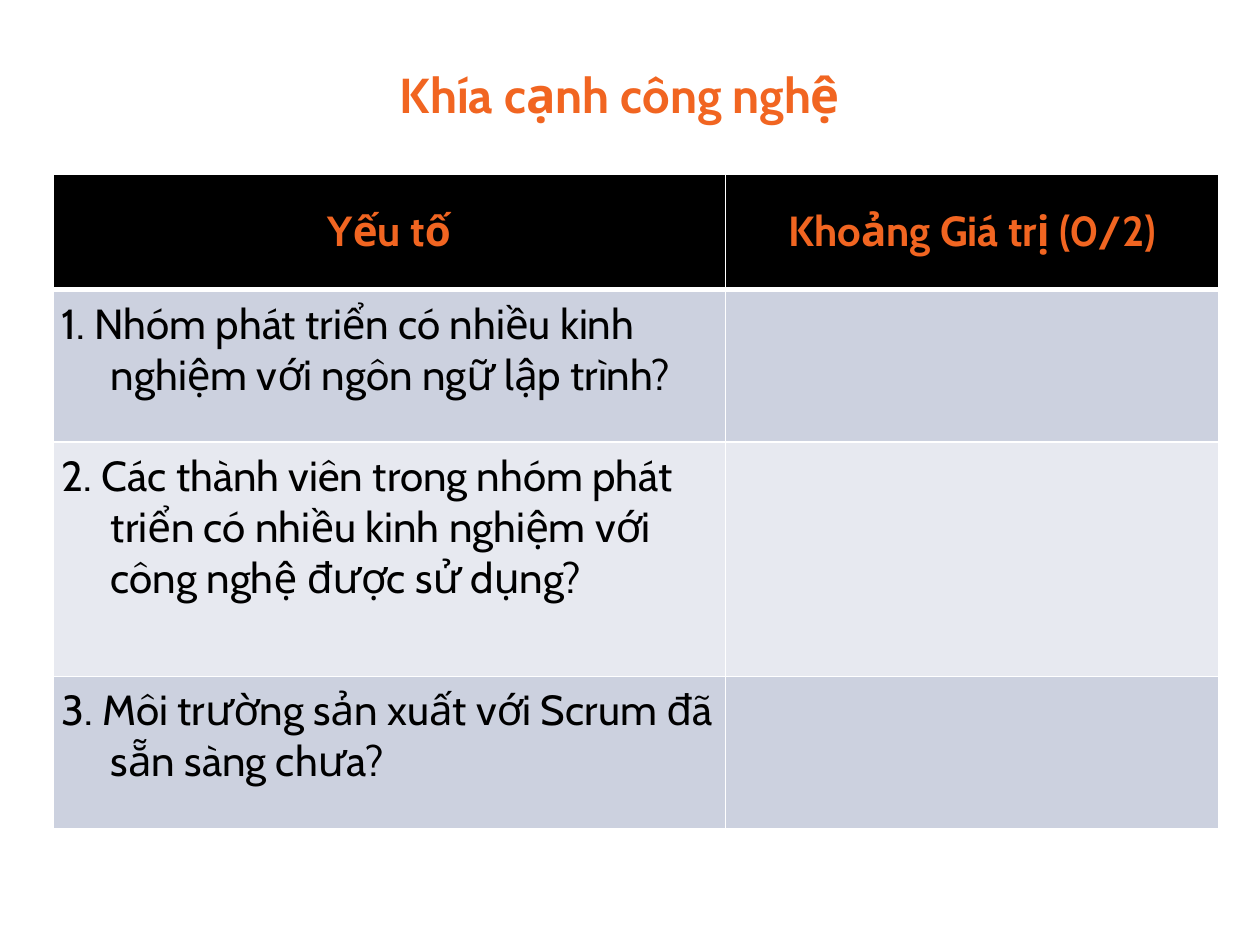
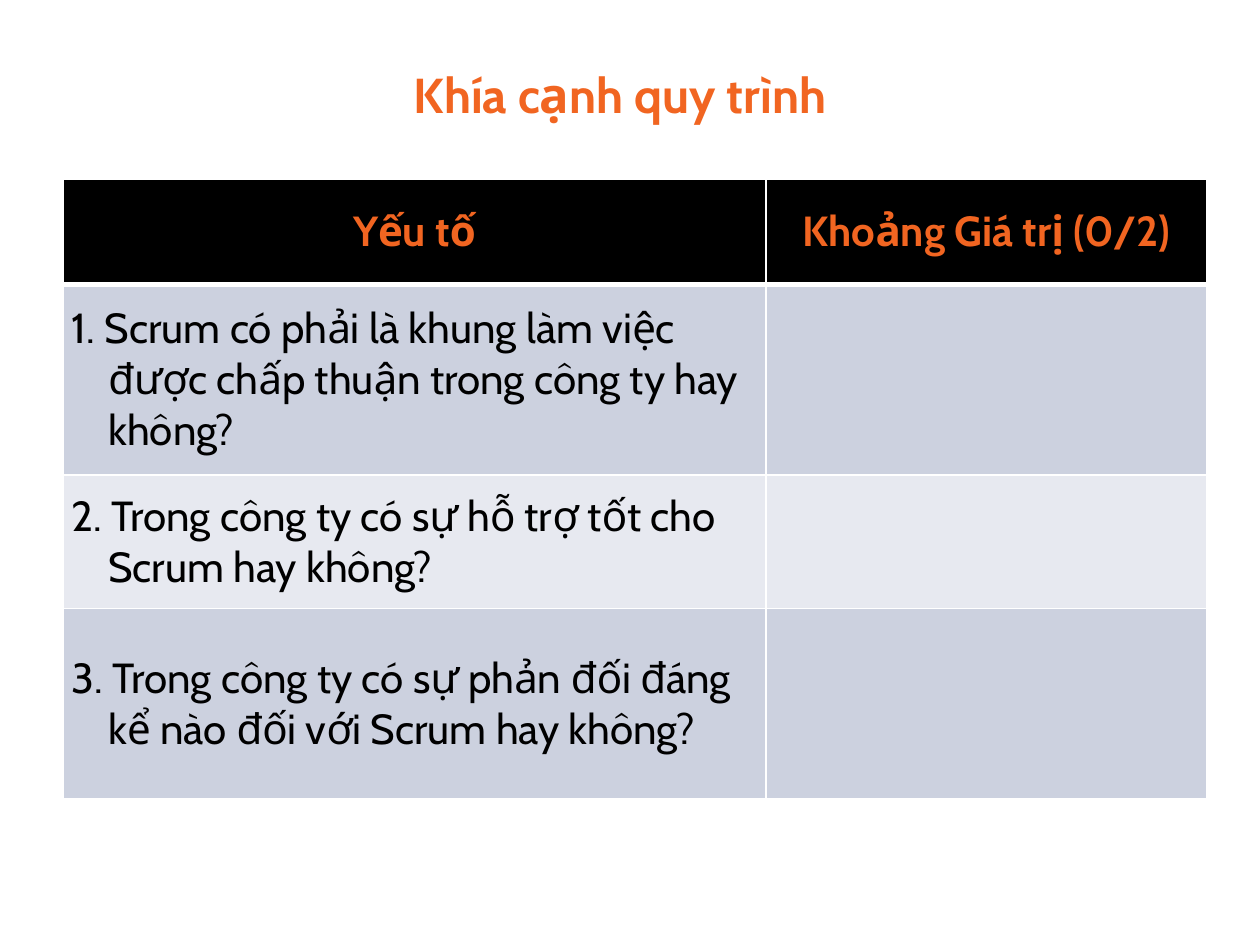
from lxml.etree import SubElement
from pptx import Presentation
from pptx.dml.color import RGBColor
from pptx.enum.text import MSO_ANCHOR as Anchor, PP_ALIGN as Align
from pptx.oxml.ns import qn
from pptx.util import Inches, Pt

ORANGE = RGBColor(0xF1, 0x65, 0x21)
BLACK = RGBColor(0x00, 0x00, 0x00)
WHITE = RGBColor(0xFF, 0xFF, 0xFF)
BANDS = (RGBColor(0xCC, 0xD1, 0xDF), RGBColor(0xE7, 0xE9, 0xF0))

TITLE_BOX = (0.17, 0.42, 9.5, 0.75)
CELL_MARGIN = Inches(0.07)
TITLE_FONT = {"name": "Cabin", "size": Pt(28), "bold": True}
HEADER_FONT = {"name": "Cabin", "size": Pt(24), "bold": True}
BODY_FONT = {"name": "Cabin", "size": Pt(24), "bold": False}
HEADERS = ("Yếu tố", "Khoảng Giá trị (0/2)")

SLIDES = [
    {
        "title": "Khía cạnh công nghệ",
        "corner": (0.42, 1.38),
        "widths": (5.34, 3.91),
        "heights": (0.92, 1.21, 1.86, 1.21),
        "indent": 0.39,
        "anchor": Anchor.TOP,
        "factors": (
            "1. Nhóm phát triển có nhiều kinh nghiệm với ngôn ngữ lập trình?",
            "2. Các thành viên trong nhóm phát triển có nhiều kinh nghiệm với công nghệ được sử dụng?",
            "3. Môi trường sản xuất với Scrum đã sẵn sàng chưa?",
        ),
    },
    {
        "title": "Khía cạnh quy trình",
        "corner": (0.5, 1.42),
        "widths": (5.58, 3.5),
        "heights": (0.84, 1.51, 1.06, 1.51),
        "indent": 0.29,
        "anchor": Anchor.MIDDLE,
        "factors": (
            "1. Scrum có phải là khung làm việc được chấp thuận trong công ty hay không?",
            "2. Trong công ty có sự hỗ trợ tốt cho Scrum hay không?",
            "3. Trong công ty có sự phản đối đáng kể nào đối với Scrum hay không?",
        ),
    },
]


def write(para, text, font, color, align):
    para.alignment = align
    span = para.add_run()
    span.text = text
    for key, value in font.items():
        setattr(span.font, key, value)
    span.font.color.rgb = color


def indent_hanging(para, inches):
    props = para._p.get_or_add_pPr()
    props.set("marL", str(Inches(inches)))
    props.set("indent", str(-Inches(inches)))


def add_borders(cell, top, bottom):
    """Draw white borders; called before the fill, which must follow them."""
    props = cell._tc.get_or_add_tcPr()
    for side, width in {"L": 1, "R": 1, "T": top, "B": bottom}.items():
        line = SubElement(props, qn(f"a:ln{side}"), w=str(Pt(width)))
        fill = SubElement(line, qn("a:solidFill"))
        SubElement(fill, qn("a:srgbClr"), val=str(WHITE))


def style_cell(cell, row):
    add_borders(cell, top=3 if row == 1 else 1, bottom=3 if row == 0 else 1)
    cell.fill.solid()
    cell.fill.fore_color.rgb = BANDS[(row - 1) % 2] if row else BLACK
    for side in ("left", "right", "top", "bottom"):
        setattr(cell, f"margin_{side}", CELL_MARGIN)


def add_title(page, text, box):
    frame = page.shapes.add_textbox(*map(Inches, box)).text_frame
    frame.word_wrap = True
    para = frame.paragraphs[0]
    para.line_spacing = 1.1
    para.space_before = Pt(6)
    write(para, text, TITLE_FONT, ORANGE, Align.CENTER)


def add_factor_table(page, corner, widths, heights, indent, anchor, factors):
    box = (*corner, sum(widths), sum(heights))
    table = page.shapes.add_table(len(heights), len(widths), *map(Inches, box)).table
    for column, width in zip(table.columns, widths):
        column.width = Inches(width)
    for row, height in enumerate(heights):
        table.rows[row].height = Inches(height)
        for cell in table.rows[row].cells:
            style_cell(cell, row)

    for column, header in enumerate(HEADERS):
        cell = table.cell(0, column)
        cell.vertical_anchor = Anchor.MIDDLE
        write(cell.text_frame.paragraphs[0], header, HEADER_FONT, ORANGE, Align.CENTER)
    for row, factor in enumerate(factors, start=1):
        cell = table.cell(row, 0)
        cell.vertical_anchor = anchor
        para = cell.text_frame.paragraphs[0]
        write(para, factor, BODY_FONT, BLACK, Align.LEFT)
        indent_hanging(para, indent)


def main():
    deck = Presentation()
    deck.slide_width, deck.slide_height = Inches(10), Inches(7.5)
    for content in SLIDES:
        page = deck.slides.add_slide(deck.slide_layouts[6])
        table_parts = {key: value for key, value in content.items() if key != "title"}
        add_title(page, content["title"], TITLE_BOX)
        add_factor_table(page, **table_parts)
    deck.save("out.pptx")


if __name__ == "__main__":
    main()
